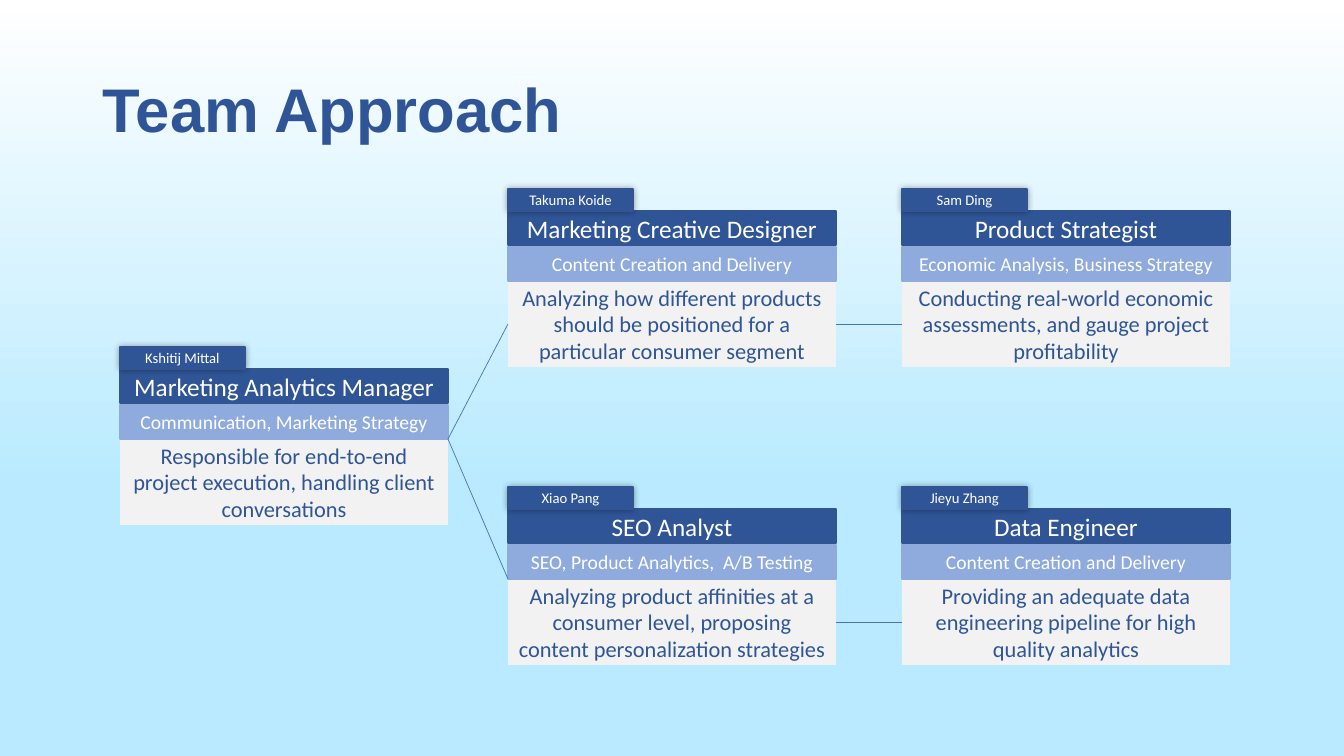
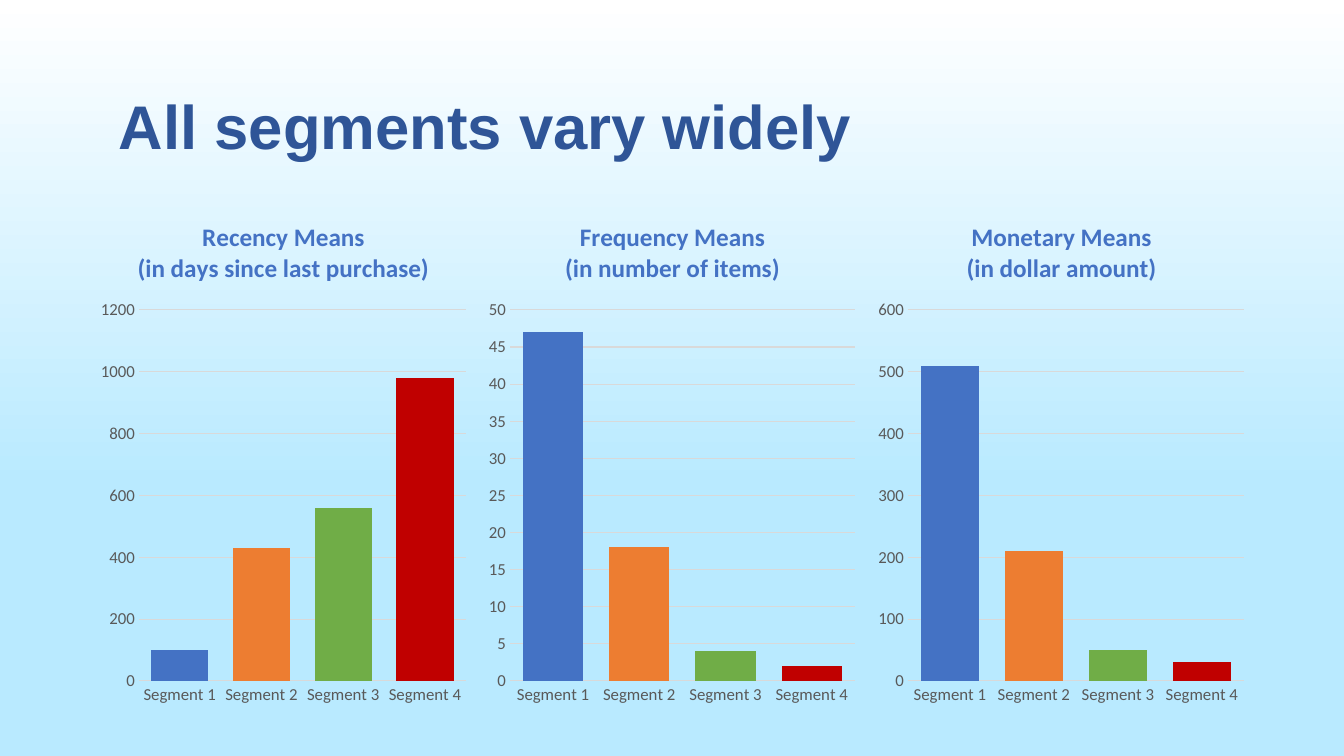
from lxml import etree
from pptx import Presentation
from pptx.chart.data import CategoryChartData
from pptx.dml.color import RGBColor
from pptx.enum.chart import XL_CHART_TYPE, XL_TICK_MARK
from pptx.enum.shapes import MSO_CONNECTOR, MSO_SHAPE
from pptx.enum.text import MSO_ANCHOR, PP_ALIGN
from pptx.oxml.ns import qn
from pptx.util import Emu, Pt

COLUMN = XL_CHART_TYPE.COLUMN_CLUSTERED
NO_TICK = XL_TICK_MARK.NONE
STRAIGHT = MSO_CONNECTOR.STRAIGHT
RECTANGLE = MSO_SHAPE.RECTANGLE
MIDDLE = MSO_ANCHOR.MIDDLE
LEFT, CENTER = PP_ALIGN.LEFT, PP_ALIGN.CENTER

WHITE = RGBColor(0xFF, 0xFF, 0xFF)
SKY = RGBColor(0xB9, 0xEA, 0xFF)
NAVY = RGBColor(0x2F, 0x55, 0x97)
NAVY_EDGE = RGBColor(0x32, 0x54, 0x91)
PERIWINKLE = RGBColor(0x8F, 0xAA, 0xDC)
PALE_GRAY = RGBColor(0xF2, 0xF2, 0xF2)
GRID_GRAY = RGBColor(0xD9, 0xD9, 0xD9)
LABEL_GRAY = RGBColor(0x59, 0x59, 0x59)
BLUE = RGBColor(0x44, 0x72, 0xC4)
ORANGE = RGBColor(0xED, 0x7D, 0x31)
GREEN = RGBColor(0x70, 0xAD, 0x47)
RED = RGBColor(0xC0, 0x00, 0x00)

BODY_FONT, TITLE_FONT = "Calibri", "Arial"
SLIDE_WIDTH, SLIDE_HEIGHT = 1344, 756
CARD_WIDTH, CARD_HEIGHT = 328, 178
ROW_HEIGHT, BODY_TOP = 34, 92
CHART_TOP, CHART_WIDTH, CHART_HEIGHT = 202, 381, 514
CHART_LEFT, CHART_PITCH = 93, 389
PLOT_TOP, PLOT_RIGHT, PLOT_HEIGHT = 108, 373, 371

SEGMENTS = ["Segment 1", "Segment 2", "Segment 3", "Segment 4"]
SEGMENT_COLORS = [BLUE, ORANGE, GREEN, RED]

TEAM = {
    "manager": (120, 347, "Kshitij Mittal", "Marketing Analytics Manager",
                "Communication, Marketing Strategy",
                "Responsible for end-to-end project execution, handling client conversations"),
    "designer": (508, 189, "Takuma Koide", "Marketing Creative Designer",
                 "Content Creation and Delivery",
                 "Analyzing how different products should be positioned for a particular consumer segment"),
    "strategist": (902, 189, "Sam Ding", "Product Strategist",
                   "Economic Analysis, Business Strategy",
                   "Conducting real-world economic assessments, and gauge project profitability"),
    "analyst": (508, 487, "Xiao Pang", "SEO Analyst",
                "SEO, Product Analytics,  A/B Testing",
                "Analyzing product affinities at a consumer level, proposing content personalization strategies"),
    "engineer": (902, 487, "Jieyu Zhang", "Data Engineer",
                 "Content Creation and Delivery",
                 "Providing an adequate data engineering pipeline for high quality analytics"),
}

MEANS = [
    ("Recency Means\n(in days since last purchase)", [100, 430, 560, 980], 1200, 200),
    ("Frequency Means\n(in number of items)", [47, 18, 4, 2], 50, 5),
    ("Monetary Means\n(in dollar amount)", [510, 210, 50, 30], 600, 100),
]


def px(length):
    """Turn pixels into EMU."""
    return Emu(round(length * 12192000 / SLIDE_WIDTH))


def write_text(frame, text, size=16, color=WHITE, font=BODY_FONT, bold=False,
               align=CENTER, spacing=None):
    """Write each line of text as one formatted paragraph."""
    for index, line in enumerate(text.split("\n")):
        paragraph = frame.add_paragraph() if index else frame.paragraphs[0]
        paragraph.alignment = align
        paragraph.line_spacing = spacing
        run = paragraph.add_run()
        run.text = line
        run.font.size = Pt(size)
        run.font.name = font
        run.font.bold = bold
        run.font.color.rgb = color


def add_title(slide, text, left, top):
    """Add the slide title."""
    frame = slide.shapes.add_textbox(px(left), px(top), px(1159), px(146)).text_frame
    frame.word_wrap = True
    frame.vertical_anchor = MIDDLE
    write_text(frame, text, size=44, color=NAVY, font=TITLE_FONT, bold=True,
               align=LEFT, spacing=0.9)


def add_box(slide, box, text, fill, edge=None, **text_format):
    """Add a filled rectangle with centred text."""
    shape = slide.shapes.add_shape(RECTANGLE, *map(px, box))
    shape.shadow.inherit = False
    shape.fill.solid()
    shape.fill.fore_color.rgb = fill
    if edge is None:
        shape.line.fill.background()
    else:
        shape.line.color.rgb = edge
        shape.line.width = Pt(1)
    shape.text_frame.word_wrap = True
    shape.text_frame.vertical_anchor = MIDDLE
    write_text(shape.text_frame, text, **text_format)
    return shape


def add_glow_shadow(shape):
    """Give a shape a soft shadow on all sides."""
    effects = shape.element.spPr.find(qn("a:effectLst"))
    shadow = etree.SubElement(effects, qn("a:outerShdw"), blurRad=str(Pt(5)),
                              dist="0", dir="0", algn="ctr", rotWithShape="0")
    color = etree.SubElement(shadow, qn("a:srgbClr"), val="000000")
    etree.SubElement(color, qn("a:alpha"), val="40000")


def add_card(slide, left, top, person, role, skills, duty):
    """Add one team member's card and return its body."""
    add_box(slide, (left, top + 22, CARD_WIDTH, ROW_HEIGHT), role, NAVY, NAVY_EDGE, size=18)
    body = add_box(slide, (left, top + BODY_TOP, CARD_WIDTH, CARD_HEIGHT - BODY_TOP),
                   duty, PALE_GRAY, color=NAVY)
    add_box(slide, (left, top + 58, CARD_WIDTH, ROW_HEIGHT), skills,
            PERIWINKLE, PERIWINKLE, size=14)
    tag = add_box(slide, (left, top, 125, 22), person, NAVY, NAVY_EDGE, size=10.5)
    add_glow_shadow(tag)
    return body


def add_link(slide, start, end):
    """Add a thin straight connector between two points."""
    connector = slide.shapes.add_connector(STRAIGHT, *start, *end)
    connector.line.color.rgb = BLUE
    connector.line.width = Pt(0.5)
    etree.SubElement(connector.element.spPr, qn("a:effectLst"))
    return connector


def add_team_links(slide, bodies):
    """Join the manager to both rows, and the two cards in each row."""
    manager, designer, analyst = (bodies[key] for key in ("manager", "designer", "analyst"))
    fork = (manager.left + manager.width, manager.top)
    link = add_link(slide, (designer.left, designer.top), fork)
    link.begin_connect(designer, 1)
    add_link(slide, (analyst.left, analyst.top), fork)
    for near, far in (("designer", "strategist"), ("analyst", "engineer")):
        link = add_link(slide, fork, fork)
        link.begin_connect(bodies[far], 1)
        link.end_connect(bodies[near], 3)


def set_plot_area(chart, left):
    """Fix the inner plot area, starting at left within the chart."""
    plot_area = chart.element.chart.plotArea
    for old_layout in plot_area.findall(qn("c:layout")):
        plot_area.remove(old_layout)
    layout = etree.Element(qn("c:layout"))
    plot_area.insert(0, layout)
    manual = etree.SubElement(layout, qn("c:manualLayout"))
    settings = {
        "layoutTarget": "inner", "xMode": "edge", "yMode": "edge",
        "x": left / CHART_WIDTH, "y": PLOT_TOP / CHART_HEIGHT,
        "w": (PLOT_RIGHT - left) / CHART_WIDTH, "h": PLOT_HEIGHT / CHART_HEIGHT,
    }
    for name, value in settings.items():
        etree.SubElement(manual, qn(f"c:{name}"), val=str(value))


def style_axes(chart, maximum, step):
    """Format both axes and the gridlines."""
    category_axis, value_axis = chart.category_axis, chart.value_axis
    for axis in (category_axis, value_axis):
        axis.major_tick_mark = axis.minor_tick_mark = NO_TICK
        font = axis.tick_labels.font
        font.size = Pt(12)
        font.name = BODY_FONT
        font.color.rgb = LABEL_GRAY
    value_axis.minimum_scale = 0
    value_axis.maximum_scale = maximum
    value_axis.major_unit = step
    value_axis.has_major_gridlines = True
    value_axis.format.line.fill.background()
    for line in (category_axis.format.line, value_axis.major_gridlines.format.line):
        line.color.rgb = GRID_GRAY
        line.width = Pt(0.75)


def add_means_chart(slide, left, title, values, maximum, step):
    """Add a column chart of one measure across the segments."""
    data = CategoryChartData()
    data.categories = SEGMENTS
    data.add_series("Series 1", values)
    box = (left, CHART_TOP, CHART_WIDTH, CHART_HEIGHT)
    chart = slide.shapes.add_chart(COLUMN, *map(px, box), data).chart
    chart.font.size = Pt(10)
    chart.font.name = BODY_FONT
    chart.has_legend = False
    chart.has_title = True
    chart.chart_title.include_in_layout = False
    write_text(chart.chart_title.text_frame, title, size=18, color=BLUE, bold=True)
    style_axes(chart, maximum, step)
    set_plot_area(chart, 10 + 9 * len(str(maximum)))
    plot = chart.plots[0]
    plot.vary_by_categories = False
    plot.gap_width = 43
    plot.overlap = 50
    series = plot.series[0]
    series.format.fill.solid()
    series.format.fill.fore_color.rgb = BLUE
    for index, color in enumerate(SEGMENT_COLORS):
        fill = series.points[index].format.fill
        fill.solid()
        fill.fore_color.rgb = color


def set_background(master):
    """Give every slide the white to sky gradient."""
    fill = master.background.fill
    fill.gradient()
    fill.gradient_angle = 270
    for stop, position, color in zip(fill.gradient_stops, (0, 0.64), (WHITE, SKY)):
        stop.position = position
        stop.color.rgb = color


def build_team_slide(slide):
    """Build the team structure slide."""
    add_title(slide, "Team Approach", 93, 40)
    bodies = {key: add_card(slide, *member) for key, member in TEAM.items()}
    add_team_links(slide, bodies)


def build_segments_slide(slide):
    """Build the slide comparing segment means."""
    for index, measure in enumerate(MEANS):
        add_means_chart(slide, CHART_LEFT + index * CHART_PITCH, *measure)
    add_title(slide, "All segments vary widely", 109, 57)


def main():
    """Build and save the presentation."""
    presentation = Presentation()
    presentation.slide_width = px(SLIDE_WIDTH)
    presentation.slide_height = px(SLIDE_HEIGHT)
    set_background(presentation.slide_master)
    blank = presentation.slide_layouts[6]
    for build in (build_team_slide, build_segments_slide):
        build(presentation.slides.add_slide(blank))
    presentation.save("out.pptx")


if __name__ == "__main__":
    main()
